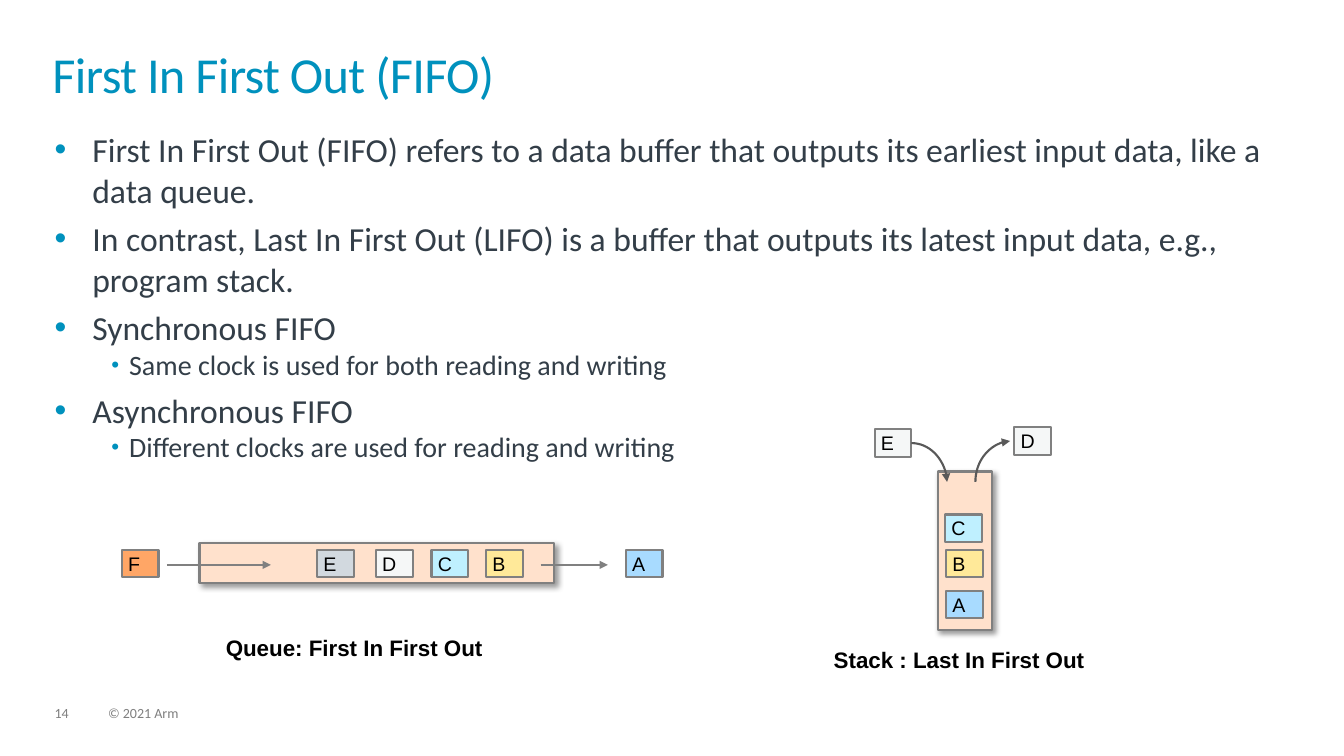
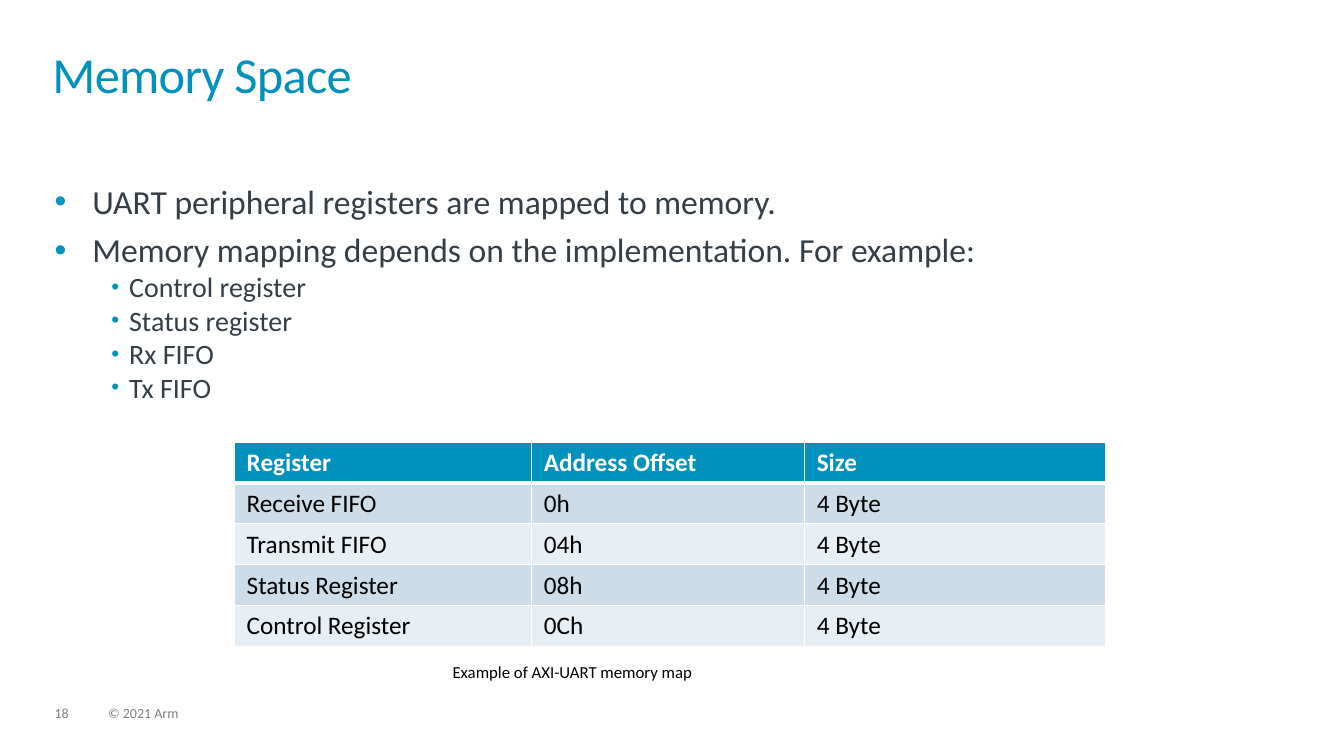
"""Build two lecture slides on FIFO buffers and the UART memory map."""
from lxml import etree
from pptx import Presentation, util as u
from pptx.dml.color import RGBColor
from pptx.enum import shapes, text
from pptx.oxml import ns

PX = 9525
FONT, LABEL_FONT = "Calibri", "Arial"
COLORS = {
    "accent": "0091BD", "body": "333E48", "footer": "7F7F7F",
    "black": "000000", "white": "FFFFFF", "line": "808080", "curve": "595959",
    "buffer": "FFE1CC", "blue": "A8DBFF", "yellow": "FFE999", "cyan": "BFF0FF",
    "pale": "F5F7F7", "grey": "D2D9DF", "orange": "FFA666",
    "band_dark": "CCDCE8", "band_light": "E7EEF4",
}
TILE_W, TILE_H = 35, 26
BULLETS = [
    {"size": 24, "left": 36, "hang": 36, "before": 6, "scale": 100},
    {"size": 20, "left": 71, "hang": 17, "before": 0, "scale": 80},
]


def px(*values):
    return [u.Emu(v * PX) for v in values]


def rgb(name):
    return RGBColor.from_string(COLORS[name])


def sub(parent, tag, **attrs):
    return etree.SubElement(parent, ns.qn(tag), {k: str(v) for k, v in attrs.items()})


def add_color(parent, name):
    return sub(sub(parent, "a:solidFill"), "a:srgbClr", val=COLORS[name])


def add_run(p, words, size, color, font=FONT, bold=False):
    r = p.add_run()
    r.text = words
    r.font.name, r.font.size, r.font.bold = font, u.Pt(size), bold
    r.font.color.rgb = rgb(color)
    return r


def add_frame(s, box, inset=(0, 0)):
    tf = s.shapes.add_textbox(*px(*box)).text_frame
    tf.word_wrap = True
    tf.margin_left = tf.margin_right = u.Emu(inset[0] * PX)
    tf.margin_top = tf.margin_bottom = u.Emu(inset[1] * PX)
    return tf


def add_caption(s, words, box, size=16, font=LABEL_FONT, bold=True, inset=(10, 5)):
    p = add_frame(s, box, inset).paragraphs[0]
    add_run(p, words, size, "black", font, bold)


def add_base(prs, title, number):
    s = prs.slides.add_slide(prs.slide_layouts[6])
    for words, left, width in ((number, 52, 33), ("© 2021 Arm", 103, 487)):
        p = add_frame(s, (left, 673, width, 14)).paragraphs[0]
        p.line_spacing = 0.9
        add_run(p, words, 10, "footer")
    p = add_frame(s, (50, 50, 1179, 69)).paragraphs[0]
    p.line_spacing = 0.85
    r = add_run(p, title, 36, "accent")
    r.font._element.set("spc", "-50")
    return s


def add_bullets(s, top, height, items):
    tf = add_frame(s, (52, top, 1174, height))
    for i, (level, words) in enumerate(items):
        style = BULLETS[level]
        p = tf.add_paragraph() if i else tf.paragraphs[0]
        p.level = level
        p.space_before = u.Pt(style["before"] if i else 0)
        pPr = p._p.get_or_add_pPr()
        pPr.set("marL", str(style["left"] * PX))
        pPr.set("indent", str(-style["hang"] * PX))
        sub(sub(pPr, "a:buClr"), "a:srgbClr", val=COLORS["accent"])
        sub(pPr, "a:buSzPct", val=style["scale"] * 1000)
        sub(pPr, "a:buFont", typeface="Arial")
        sub(pPr, "a:buChar", char="•")
        add_run(p, words, style["size"], "body")


def add_rect(s, box, fill):
    sp = s.shapes.add_shape(shapes.MSO_SHAPE.RECTANGLE, *px(*box))
    sp.shadow.inherit = False
    sp.fill.solid()
    sp.fill.fore_color.rgb = rgb(fill)
    sp.line.color.rgb = rgb("line")
    sp.line.width = u.Pt(1.5)
    return sp


def add_buffer(s, box):
    sp = add_rect(s, box, "buffer")
    effects = sp._element.spPr.find(ns.qn("a:effectLst"))
    shadow = sub(effects, "a:outerShdw", blurRad=u.Pt(4), dist=u.Pt(3),
                 dir=45 * 60000, algn="tl", rotWithShape=0)
    sub(sub(shadow, "a:srgbClr", val=COLORS["black"]), "a:alpha", val=40000)


def add_tile(s, letter, left, top, fill):
    tf = add_rect(s, (left, top, TILE_W, TILE_H), fill).text_frame
    tf.word_wrap = True
    tf.margin_left = u.Emu(6 * PX)
    tf.margin_right = tf.margin_top = tf.margin_bottom = 0
    tf.vertical_anchor = text.MSO_ANCHOR.MIDDLE
    p = tf.paragraphs[0]
    p.alignment = text.PP_ALIGN.LEFT
    add_run(p, letter, 14, "black", LABEL_FONT)


def add_arrow(s, ends, color="line", curved=False, arrow="a:tailEnd"):
    kind = shapes.MSO_CONNECTOR.CURVE if curved else shapes.MSO_CONNECTOR.STRAIGHT
    cxn = s.shapes.add_connector(kind, *px(*ends))
    cxn.line.color.rgb = rgb(color)
    cxn.line.width = u.Pt(1.5)
    sub(cxn.line._get_or_add_ln(), arrow, type="triangle")
    spPr = cxn._element.spPr
    if curved:
        spPr.find(ns.qn("a:prstGeom")).set("prst", "curvedConnector2")
    sub(spPr, "a:effectLst")


def add_queue(s):
    add_buffer(s, (190, 517, 338, 38))
    for letter, left, fill in (("F", 116, "orange"), ("E", 302, "grey"),
                               ("D", 358, "pale"), ("C", 411, "cyan"),
                               ("B", 463, "yellow"), ("A", 596, "blue")):
        add_tile(s, letter, left, 524, fill)
    for start, end in ((159, 258), (515, 579)):
        add_arrow(s, (start, 538, end, 538))
    add_caption(s, "Queue: First In First Out", (205, 599, 373, 35))


def add_stack(s):
    add_buffer(s, (893, 449, 52, 151))
    for letter, left, top, fill in (("E", 833, 409, "pale"), ("D", 966, 407, "pale"),
                                    ("C", 900, 490, "cyan"), ("B", 901, 524, "yellow"),
                                    ("A", 901, 563, "blue")):
        add_tile(s, letter, left, top, fill)
    add_arrow(s, (868, 422, 902, 459), "curve", curved=True)
    add_arrow(s, (962, 420, 929, 459), "curve", curved=True, arrow="a:headEnd")
    add_caption(s, "Stack : Last In First Out", (784, 610, 351, 35))


def add_borders(cell, row):
    tcPr = cell._tc.get_or_add_tcPr()
    widths = {"L": 1, "R": 1, "T": 3 if row == 1 else 1, "B": 3 if row == 0 else 1}
    for side, width in widths.items():
        add_color(sub(tcPr, f"a:ln{side}", w=u.Pt(width)), "white")


def add_register_table(s, rows):
    widths, row_h = (283, 260, 287), 39
    box = (223, 421, sum(widths), row_h * len(rows))
    table = s.shapes.add_table(len(rows), len(widths), *px(*box)).table
    table.horz_banding = False
    for column, width in zip(table.columns, widths):
        column.width = u.Emu(width * PX)
    for i, row in enumerate(rows):
        table.rows[i].height = u.Emu(row_h * PX)
        header = i == 0
        fill = "accent" if header else ("band_light", "band_dark")[i % 2]
        for j, words in enumerate(row):
            cell = table.cell(i, j)
            add_borders(cell, i)
            cell.fill.solid()
            cell.fill.fore_color.rgb = rgb(fill)
            cell.margin_left = cell.margin_right = u.Emu(12 * PX)
            cell.margin_top = cell.margin_bottom = u.Emu(5 * PX)
            if j == 0 and not header:
                cell.vertical_anchor = text.MSO_ANCHOR.MIDDLE
            add_run(cell.text_frame.paragraphs[0], words, 18,
                    "white" if header else "black", bold=header)


def main():
    prs = Presentation()
    prs.slide_width, prs.slide_height = px(1280, 720)

    s = add_base(prs, "First In First Out (FIFO)", "14")
    add_bullets(s, 123, 429, [
        (0, "First In First Out (FIFO) refers to a data buffer that outputs its "
            "earliest input data, like a data queue."),
        (0, "In contrast, Last In First Out (LIFO) is a buffer that outputs its "
            "latest input data, e.g., program stack."),
        (0, "Synchronous FIFO"),
        (1, "Same clock is used for both reading and writing"),
        (0, "Asynchronous FIFO"),
        (1, "Different clocks are used for reading and writing"),
    ])
    add_queue(s)
    add_stack(s)

    s = add_base(prs, "Memory Space", "18")
    add_bullets(s, 172, 270, [
        (0, "UART peripheral registers are mapped to memory."),
        (0, "Memory mapping depends on the implementation. For example:"),
        (1, "Control register"),
        (1, "Status register"),
        (1, "Rx FIFO"),
        (1, "Tx FIFO"),
    ])
    add_register_table(s, [
        ("Register", "Address Offset", "Size"),
        ("Receive FIFO", "0h", "4 Byte"),
        ("Transmit FIFO", "04h", "4 Byte"),
        ("Status Register", "08h", "4 Byte"),
        ("Control Register", "0Ch", "4 Byte"),
    ])
    add_caption(s, "Example of AXI-UART memory map", (431, 630, 343, 31),
                size=12, font=FONT, bold=False, inset=(0, 0))
    prs.save("out.pptx")


if __name__ == "__main__":
    main()
